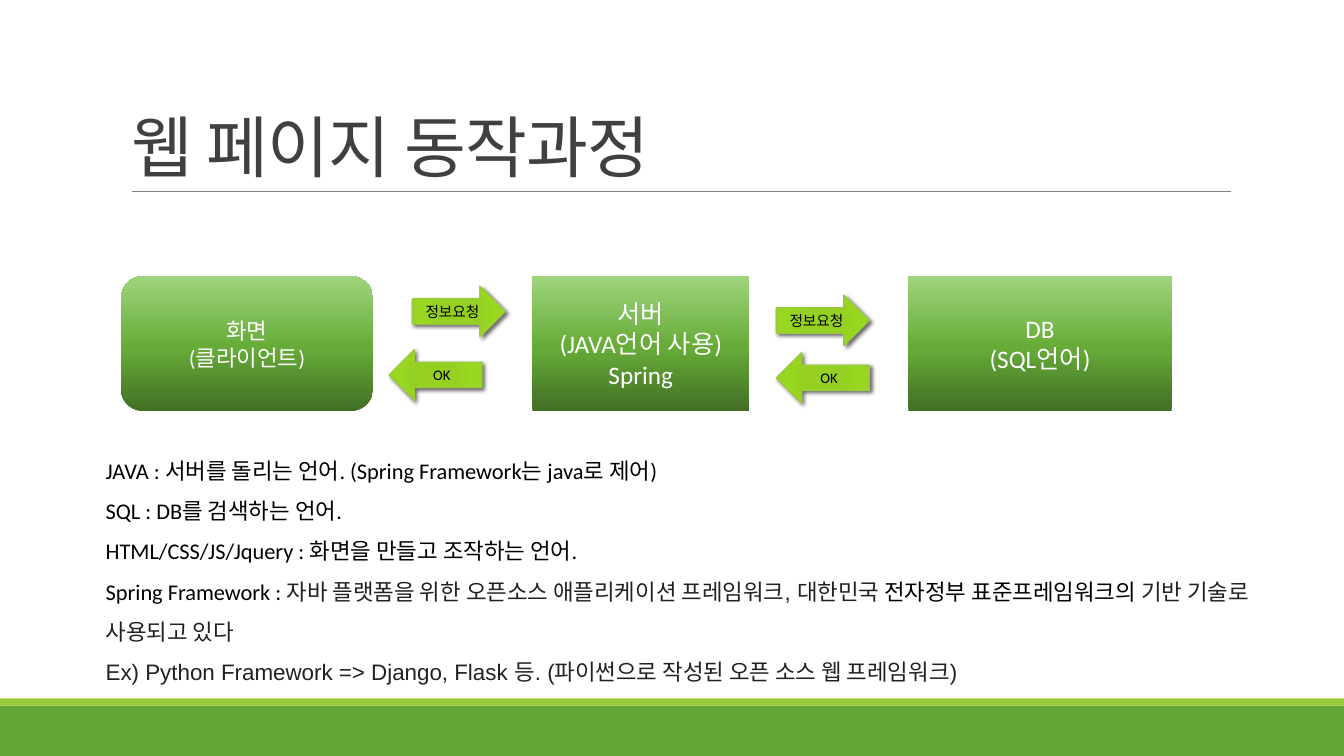
from pptx import Presentation
from pptx.dml.color import RGBColor
from pptx.enum.shapes import MSO_CONNECTOR, MSO_SHAPE
from pptx.enum.text import MSO_ANCHOR, MSO_AUTO_SIZE, PP_ALIGN
from pptx.oxml import parse_xml
from pptx.oxml.ns import nsdecls, qn
from pptx.util import Inches, Pt

BLACK, WHITE, TITLE_GRAY, BODY_GRAY = "000000", "FFFFFF", "404040", "202122"
GREEN, LIME, RULE_GRAY = "63A537", "99CB38", "808080"
BOX_STOPS = [(0, "426F25"), (48, "67AC39"), (100, "9FD47D")]
BOX_SHADE = '<a:lin ang="16200000" scaled="0"/>'
ARROW_STOPS = [(0, "95D220"), (34, "96D023"), (70, "99D720"), (100, "9BD231")]
ARROW_SHADE = ('<a:path path="circle"><a:fillToRect l="100000" t="100000" '
               'r="100000" b="100000"/></a:path>')


def rgb(color):
    return RGBColor.from_string(color)


class SlideBuilder:
    font = "Calibri"

    def __init__(self, slide):
        self.slide = slide

    def run(self, p, text, size, color, font=None):
        r = p.add_run()
        r.text = text
        r.font.size = Pt(size)
        r.font.name = font or self.font
        r.font.color.rgb = rgb(color)
        return r

    def title(self, text, x, y, w, h):
        sp = self.slide.shapes.title
        sp.left, sp.top, sp.width, sp.height = map(Inches, (x, y, w, h))
        tf = sp.text_frame
        tf.vertical_anchor = MSO_ANCHOR.BOTTOM
        p = tf.paragraphs[0]
        p.alignment = PP_ALIGN.LEFT
        p.line_spacing = 0.85
        r = self.run(p, text, 48, TITLE_GRAY)
        r.font._element.set("spc", "-50")

    def shape(self, kind, x, y, w, h):
        sp = self.slide.shapes.add_shape(kind, *map(Inches, (x, y, w, h)))
        sp.shadow.inherit = False
        sp.line.fill.background()
        return sp

    def band(self, y, h, color):
        sp = self.shape(MSO_SHAPE.RECTANGLE, 0, y, 13.33, h)
        sp.fill.solid()
        sp.fill.fore_color.rgb = rgb(color)

    def rule(self, x1, x2, y):
        line = self.slide.shapes.add_connector(
            MSO_CONNECTOR.STRAIGHT, *map(Inches, (x1, y, x2, y)))
        line.line.color.rgb = rgb(RULE_GRAY)
        line.line.width = Pt(0.5)
        line._element.spPr.append(parse_xml(f"<a:effectLst {nsdecls('a')}/>"))

    def gradient(self, sp, stops, shade):
        """Fill the shape with any number of (percent, colour) stops."""
        sp.fill.gradient()
        spPr = sp._element.spPr
        gs = "".join(f'<a:gs pos="{pos * 1000}"><a:srgbClr val="{color}"/></a:gs>'
                     for pos, color in stops)
        spPr.replace(spPr.find(qn("a:gradFill")), parse_xml(
            f'<a:gradFill {nsdecls("a")} rotWithShape="1">'
            f"<a:gsLst>{gs}</a:gsLst>{shade}</a:gradFill>"))

    def label(self, sp, lines, size, color):
        tf = sp.text_frame
        tf.word_wrap = True
        tf.vertical_anchor = MSO_ANCHOR.MIDDLE
        for i, line in enumerate(lines):
            p = tf.add_paragraph() if i else tf.paragraphs[0]
            p.alignment = PP_ALIGN.CENTER
            self.run(p, line, size, color)

    def box(self, kind, x, w, size, lines):
        sp = self.shape(kind, x, 2.74, w, 1.34)
        self.gradient(sp, BOX_STOPS, BOX_SHADE)
        self.label(sp, lines, size, WHITE)

    def arrow(self, kind, x, y, text):
        sp = self.shape(kind, x, y, 0.92, 0.5)
        self.gradient(sp, ARROW_STOPS, ARROW_SHADE)
        sp.line.color.rgb = rgb(LIME)
        sp.line.width = Pt(1)
        sp._element.spPr.find(qn("a:effectLst")).append(parse_xml(
            f'<a:outerShdw {nsdecls("a")} blurRad="{Pt(3)}" dist="{Pt(2)}" '
            f'dir="2700000" rotWithShape="0"><a:srgbClr val="{BLACK}">'
            '<a:alpha val="60000"/></a:srgbClr></a:outerShdw>'))
        self.label(sp, [text], 10.5, BLACK)

    def description(self, paragraphs, x, y, w, h):
        """Add a text box; each paragraph is a list of (text, colour, font)."""
        sp = self.slide.shapes.add_textbox(*map(Inches, (x, y, w, h)))
        tf = sp.text_frame
        tf.word_wrap = True
        tf.auto_size = MSO_AUTO_SIZE.SHAPE_TO_FIT_TEXT
        for i, runs in enumerate(paragraphs):
            p = tf.add_paragraph() if i else tf.paragraphs[0]
            p.line_spacing = 1.5
            for text, color, font in runs:
                self.run(p, text, 16, color, font)


def main():
    prs = Presentation()
    prs.slide_width, prs.slide_height = Inches(13.33), Inches(7.5)
    s = SlideBuilder(prs.slides.add_slide(prs.slide_layouts[5]))

    s.band(7, 0.5, GREEN)
    s.band(6.93, 0.07, LIME)
    s.rule(1.31, 12.21, 1.9)
    s.title("웹 페이지 동작과정", 1.2, 0.31, 11, 1.59)

    s.box(MSO_SHAPE.ROUNDED_RECTANGLE, 1.2, 2.5, 16, ["화면", "(클라이언트)"])
    s.box(MSO_SHAPE.RECTANGLE, 5.28, 2.15, 18,
          ["서버", "(JAVA언어 사용)", "Spring"])
    s.box(MSO_SHAPE.RECTANGLE, 9.01, 2.61, 18, ["DB", "(SQL언어)"])

    for request_x, request_y, reply_x, reply_y in [(4.09, 2.84, 3.86, 3.47),
                                                   (7.7, 2.93, 7.7, 3.5)]:
        s.arrow(MSO_SHAPE.RIGHT_ARROW, request_x, request_y, "정보요청")
        s.arrow(MSO_SHAPE.LEFT_ARROW, reply_x, reply_y, "OK")

    s.description([
        [("JAVA : 서버를 돌리는 언어. (Spring Framework는 java로 제어)", BLACK, "Calibri")],
        [("SQL : DB를 검색하는 언어.", BLACK, "Calibri")],
        [("HTML/CSS/JS/Jquery : 화면을 만들고 조작하는 언어.", BLACK, "Calibri")],
        [("Spring Framework : ", BLACK, "Calibri"),
         ("자바 플랫폼을 위한 오픈소스 애플리케이션 프레임워크, 대한민국 ", BODY_GRAY, "Arial"),
         ("전자정부 표준프레임워크의 ", BLACK, "Arial"),
         ("기반 기술로 사용되고 있다", BODY_GRAY, "Arial")],
        [("Ex) Python Framework => Django, Flask 등. "
          "(파이썬으로 작성된 오픈 소스 웹 프레임워크)", BODY_GRAY, "Arial")],
    ], 0.95, 4.35, 11.83, 2.48)

    prs.save("out.pptx")


if __name__ == "__main__":
    main()
